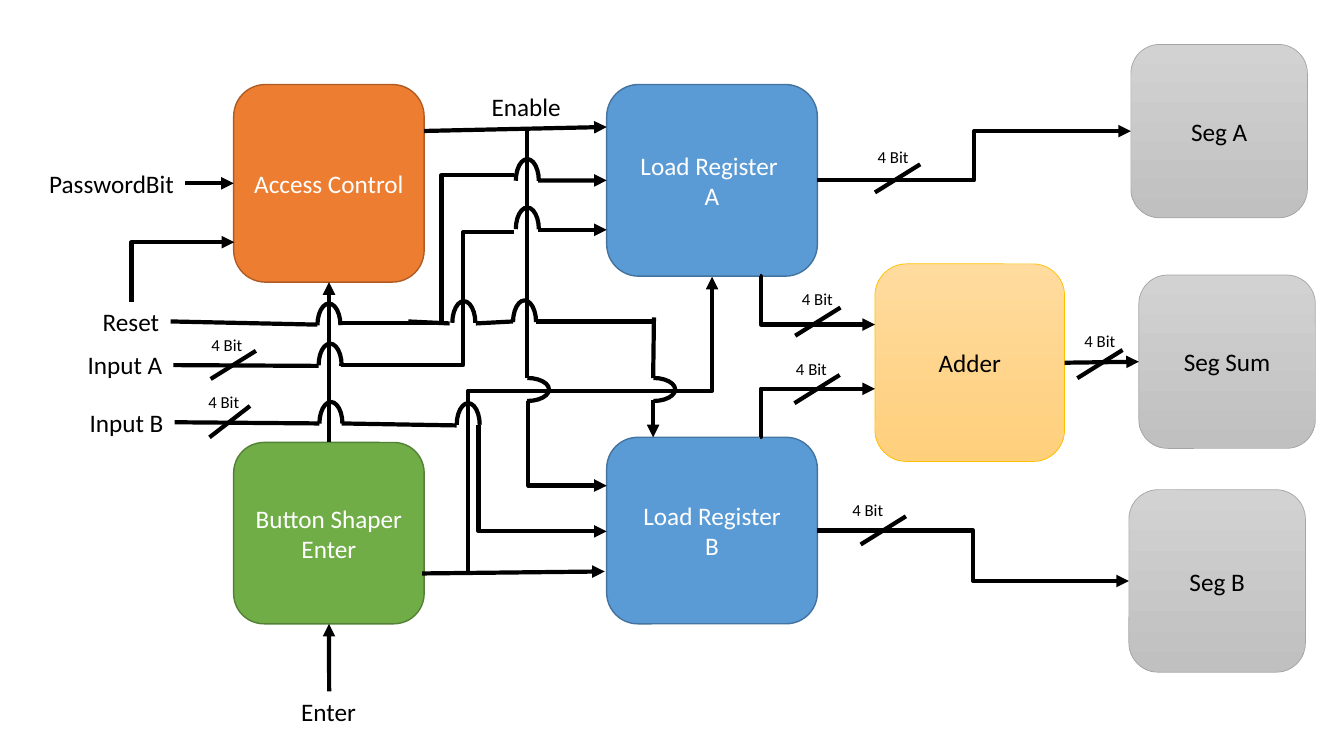
from lxml.etree import SubElement
from pptx import Presentation
from pptx.dml.color import RGBColor
from pptx.enum.shapes import MSO_CONNECTOR, MSO_SHAPE
from pptx.enum.text import MSO_ANCHOR, MSO_AUTO_SIZE, PP_ALIGN
from pptx.oxml.ns import qn
from pptx.shapes.base import BaseShape
from pptx.util import Cm, Pt

BLACK = RGBColor(0x00, 0x00, 0x00)
WHITE = RGBColor(0xFF, 0xFF, 0xFF)
ORANGE = RGBColor(0xED, 0x7D, 0x31)
DARK_ORANGE = RGBColor(0xAF, 0x5C, 0x24)
GREEN = RGBColor(0x70, 0xAD, 0x47)
DARK_GREEN = RGBColor(0x53, 0x80, 0x35)
BLUE = RGBColor(0x5B, 0x9B, 0xD5)
DARK_BLUE = RGBColor(0x43, 0x73, 0x9E)
LIGHT_GOLD = RGBColor(0xFF, 0xDB, 0x9E)
GOLD = RGBColor(0xFF, 0xD0, 0x7C)
DARK_GOLD = RGBColor(0xFF, 0xC0, 0x00)
LIGHT_GRAY = RGBColor(0xD2, 0xD2, 0xD2)
GRAY = RGBColor(0xC0, 0xC0, 0xC0)
DARK_GRAY = RGBColor(0xA5, 0xA5, 0xA5)

TOP, LEFT, BOTTOM, RIGHT = range(4)

ORANGE_STYLE = ([ORANGE], DARK_ORANGE, WHITE)
GREEN_STYLE = ([GREEN], DARK_GREEN, WHITE)
BLUE_STYLE = ([BLUE], DARK_BLUE, WHITE)
GOLD_STYLE = ([LIGHT_GOLD, GOLD], DARK_GOLD, BLACK)
GRAY_STYLE = ([LIGHT_GRAY, GRAY], DARK_GRAY, BLACK)


class Diagram:
    font_name = "Calibri"
    text_size = 18
    bit_size = 12
    wire_width = 3

    def __init__(self, slide):
        self.slide = slide

    def format_text(self, frame, text, size, color, alignment):
        frame.text = text
        font_format = {"name": self.font_name, "size": Pt(size)}
        for paragraph in frame.paragraphs:
            paragraph.alignment = alignment
            for name, value in font_format.items():
                setattr(paragraph.font, name, value)
            paragraph.font.color.rgb = color

    def block(self, text, box, style):
        fills, outline, text_color = style
        shape = self.slide.shapes.add_shape(MSO_SHAPE.ROUNDED_RECTANGLE, *map(Cm, box))
        shape.shadow.inherit = False
        if len(fills) == 1:
            shape.fill.solid()
            shape.fill.fore_color.rgb = fills[0]
        else:
            shape.fill.gradient()
            shape.fill.gradient_angle = 270
            for stop, color in zip(shape.fill.gradient_stops, fills):
                stop.color.rgb = color
        shape.line.color.rgb = outline
        shape.line.width = Pt(1 if len(fills) == 1 else 0.5)
        shape.text_frame.vertical_anchor = MSO_ANCHOR.MIDDLE
        shape.text_frame.word_wrap = True
        self.format_text(shape.text_frame, text, self.text_size, text_color, PP_ALIGN.CENTER)
        return shape

    def label(self, text, left, top, width, height=1.02, size=text_size):
        shape = self.slide.shapes.add_textbox(*map(Cm, (left, top, width, height)))
        frame_format = {"word_wrap": False, "auto_size": MSO_AUTO_SIZE.SHAPE_TO_FIT_TEXT}
        for name, value in frame_format.items():
            setattr(shape.text_frame, name, value)
        self.format_text(shape.text_frame, text, size, BLACK, PP_ALIGN.LEFT)
        return shape

    def bridge(self, left, top, rotation=0):
        shape = self.slide.shapes.add_shape(MSO_SHAPE.ARC, *map(Cm, (left, top, 0.58, 1.09)))
        shape.adjustments[0] = 108
        shape.adjustments[1] = 0
        shape.rotation = rotation
        shape.shadow.inherit = False
        shape.fill.background()
        shape.line.color.rgb = BLACK
        shape.line.width = Pt(self.wire_width)

    def wire(self, start, end, arrow=False, kind=MSO_CONNECTOR.STRAIGHT):
        points = [(0, 0) if isinstance(point[0], BaseShape) else point for point in (start, end)]
        connector = self.slide.shapes.add_connector(kind, *map(Cm, points[0] + points[1]))
        for point, connect in ((start, connector.begin_connect), (end, connector.end_connect)):
            if isinstance(point[0], BaseShape):
                connect(*point)
        connector.line.color.rgb = BLACK
        connector.line.width = Pt(self.wire_width)
        properties = connector.element.spPr
        if arrow:
            SubElement(properties.find(qn("a:ln")), qn("a:tailEnd"), type="triangle")
        SubElement(properties, qn("a:effectLst"))
        return connector

    def bent_wire(self, box, preset, adjustments=(), rotation=0, flips=(), arrow=True):
        left, top, width, height = box
        connector = self.wire((left, top), (left + width, top + height), arrow, MSO_CONNECTOR.ELBOW)
        properties = connector.element.spPr
        transform = properties.find(qn("a:xfrm"))
        transform.set("rot", str(rotation * 60000))
        for flip in flips:
            transform.set(flip, "1")
        geometry = properties.find(qn("a:prstGeom"))
        geometry.set("prst", preset)
        guides = geometry.find(qn("a:avLst"))
        names = ["adj1", "adj2"]
        for name, value in zip(names, adjustments):
            SubElement(guides, qn("a:gd"), name=name, fmla=f"val {round(value * 100000)}")

    def bus_mark(self, label_left, label_top, slash_left, slash_bottom, run=1.14, rise=0.71):
        self.wire((slash_left, slash_bottom), (slash_left + run, slash_bottom - rise))
        self.label("4 Bit", label_left, label_top, 1.3, 0.76, self.bit_size)


def main():
    presentation = Presentation()
    presentation.slide_width = Cm(33.87)
    presentation.slide_height = Cm(19.05)
    diagram = Diagram(presentation.slides.add_slide(presentation.slide_layouts[6]))

    access = diagram.block("Access Control", (5.89, 2.13, 4.8, 4.98), ORANGE_STYLE)
    button = diagram.block("Button Shaper Enter", (5.89, 11.15, 4.8, 4.57), GREEN_STYLE)
    register_a = diagram.block("Load Register \nA", (15.29, 2.13, 5.31, 4.83), BLUE_STYLE)
    register_b = diagram.block("Load Register\nB", (15.29, 11.02, 5.31, 4.7), BLUE_STYLE)
    adder = diagram.block("Adder", (22.05, 6.65, 4.78, 4.98), GOLD_STYLE)
    segment_a = diagram.block("Seg A", (28.5, 1.12, 4.45, 4.37), GRAY_STYLE)
    segment_b = diagram.block("Seg B", (28.45, 12.34, 4.45, 4.6), GRAY_STYLE)
    segment_sum = diagram.block("Seg Sum", (28.7, 6.93, 4.45, 4.37), GRAY_STYLE)

    password = diagram.label("PasswordBit", 0.99, 4.11, 3.68)
    enter = diagram.label("Enter", 7.34, 17.42, 1.91)
    diagram.label("Enable", 12.14, 2.18, 2.29)
    reset = diagram.label("Reset", 2.34, 7.59, 1.96)
    input_a = diagram.label("Input A", 1.96, 8.69, 2.41)
    input_b = diagram.label("Input B", 2.01, 10.13, 2.39)

    for left, top in ((8, 7.65), (8.03, 8.66), (8.05, 10.13), (13, 4.01),
                      (13, 5.23), (11.51, 10.16), (11.4, 7.59), (12.93, 7.57)):
        diagram.bridge(left, top)
    for left in (13, 16.18):
        diagram.bridge(left, 9.27, 90)

    arrows = [
        ((button, TOP), (access, BOTTOM)),
        ((password, RIGHT), (access, LEFT)),
        ((enter, TOP), (button, BOTTOM)),
        ((adder, RIGHT), (segment_sum, LEFT)),
        ((13.56, 4.55), (register_a, LEFT)),
        ((13.56, 5.79), (15.29, 5.79)),
        ((10.69, 3.3), (15.29, 3.2)),
        ((10.64, 14.45), (15.24, 14.4)),
        ((16.46, 10.08), (16.46, 11.02)),
    ]
    for start, end in arrows:
        diagram.wire(start, end, arrow=True)

    plain_wires = [
        ((reset, RIGHT), (8, 8.18)),
        ((input_a, RIGHT), (8.03, 9.22)),
        ((input_b, RIGHT), (8.05, 10.67)),
        ((13.28, 3.23), (13.28, 9.53)),
        ((8.61, 10.67), (11.51, 10.72)),
        ((11.33, 8.15), (10.29, 8.1)),
        ((11.99, 8.15), (12.93, 8.1)),
        ((13.51, 8.1), (16.48, 8.1)),
        ((16.48, 8), (16.46, 9.53)),
    ]
    for start, end in plain_wires:
        diagram.wire(start, end)

    for register, segment in ((register_a, segment_a), (register_b, segment_b)):
        diagram.wire((register, RIGHT), (segment, LEFT), True, MSO_CONNECTOR.ELBOW)

    both = ("flipH", "flipV")
    vertical = ("flipV",)
    bent_wires = [
        ((11.15, 7.62, 7.44, 6.15), "bentConnector3", (0.614,), 90, both),
        ((13.28, 10.11, 2.01, 2.13), "bentConnector4", (0.017, 0.998)),
        ((3.86, 5.56, 1.5, 2.59), "bentConnector2", (), 90, both),
        ((12.34, 10.44, 2.67, 3.23), "bentConnector2", (), 90, vertical),
        ((8.89, 4.11, 3.76, 4.37), "bentConnector4", (0.009, 0.582), 90, both, False),
        ((9.09, 5.36, 3.38, 4.37), "bentConnector4", (0.01, 0.704), 90, both, False),
        ((19.15, 6.96, 2.9, 1.22), "bentConnector3", (0.007,)),
        ((19.15, 9.8, 2.9, 1.22), "bentConnector3", (0.007,), 0, vertical),
    ]
    for bent_wire in bent_wires:
        diagram.bent_wire(*bent_wire)

    bus_marks = [
        (5.08, 8.31, 5.31, 9.55),
        (5, 9.75, 5.28, 11.02, 1.02, 0.79),
        (19.96, 7.16, 20.04, 8.46),
        (19.81, 8.92, 20.02, 10.16),
        (27.08, 8.2, 27.15, 9.53),
        (21.87, 3.58, 22.05, 4.85),
        (21.23, 12.47, 21.69, 13.72),
    ]
    for bus_mark in bus_marks:
        diagram.bus_mark(*bus_mark)

    presentation.save("out.pptx")


if __name__ == "__main__":
    main()
